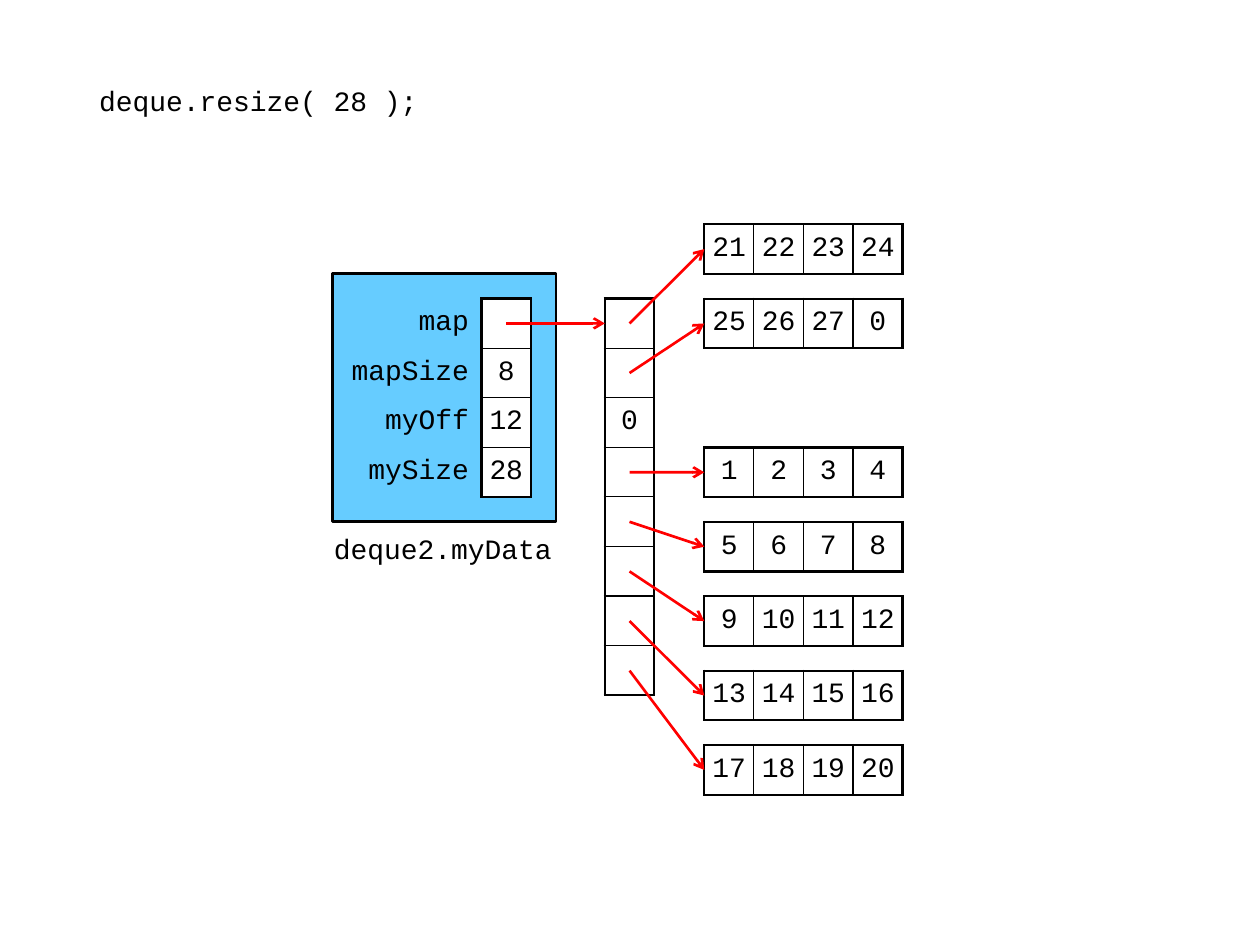
from dataclasses import dataclass

from lxml.etree import SubElement
from pptx import Presentation
from pptx.dml.color import RGBColor
from pptx.enum.shapes import MSO_CONNECTOR, MSO_SHAPE
from pptx.enum.text import MSO_ANCHOR, PP_ALIGN
from pptx.oxml.ns import qn
from pptx.util import Inches, Pt

CELL = 1 / 2.54
LANE = 1.5 * CELL
FIELDS_LEFT, MAP_LEFT, BLOCK_LEFT = 2.64, 4.8, 5.59
MAP_TOP, BLOCK_TOP = 2.37, 1.78
LABEL_WIDTH = 3 * CELL
THICK, THIN = 1.5, 0.75
BLACK, WHITE, RED, BLUE = "000000", "FFFFFF", "FF0000", "66CCFF"


@dataclass
class Block:
    slot: int
    values: list[str]


@dataclass
class Field:
    label: str
    value: str


FIELDS = [Field("map", ""), Field("mapSize", "8"), Field("myOff", "12"), Field("mySize", "28")]
MAP_SLOTS = ["", "", "0", "", "", "", "", ""]
BLOCKS = [
    Block(0, ["21", "22", "23", "24"]),
    Block(1, ["25", "26", "27", "0"]),
    Block(3, ["1", "2", "3", "4"]),
    Block(4, ["5", "6", "7", "8"]),
    Block(5, ["9", "10", "11", "12"]),
    Block(6, ["13", "14", "15", "16"]),
    Block(7, ["17", "18", "19", "20"]),
]


def color(value: str) -> RGBColor:
    return RGBColor.from_string(value)


def write(frame, text: str, align=PP_ALIGN.CENTER, size: float = 16):
    para = frame.paragraphs[0]
    para.alignment = align
    para.space_before = Pt(0)
    if text:
        span = para.add_run()
        span.text = text
        span.font.name = "Courier New"
        span.font.size = Pt(size)
        span.font.color.rgb = color(BLACK)
    return para


def set_border(cell, side: str, width: float) -> None:
    properties = cell._tc.get_or_add_tcPr()
    line = SubElement(properties, qn(f"a:ln{side}"), w=str(Pt(width)))
    if width:
        fill = SubElement(line, qn("a:solidFill"))
        SubElement(fill, qn("a:srgbClr"), val=BLACK)
    else:
        SubElement(line, qn("a:noFill"))


def add_grid(slide, left: float, top: float, rows: list[list[str]], label_width: float = 0) -> None:
    widths = [CELL] * len(rows[0])
    if label_width:
        widths[0] = label_width
    first, last = (1 if label_width else 0), len(widths) - 1
    table = slide.shapes.add_table(
        len(rows), len(widths), Inches(left), Inches(top),
        Inches(sum(widths)), Inches(CELL * len(rows)),
    ).table
    table.first_row = table.horz_banding = False
    for column, width in zip(table.columns, widths):
        column.width = Inches(width)
    for row_index, values in enumerate(rows):
        table.rows[row_index].height = Inches(CELL)
        for column_index, value in enumerate(values):
            cell = table.cell(row_index, column_index)
            is_label = column_index < first
            cell.vertical_anchor = MSO_ANCHOR.MIDDLE
            cell.margin_top = cell.margin_bottom = Inches(0.04)
            cell.margin_left = cell.margin_right = Inches(0.1 if is_label else 0.04)
            write(cell.text_frame, value, align=PP_ALIGN.RIGHT if is_label else PP_ALIGN.CENTER)
            if is_label:
                borders = {"L": 0, "R": THICK, "T": 0, "B": 0}
            else:
                borders = {
                    "L": THICK if column_index == first else THIN,
                    "R": THICK if column_index == last else THIN,
                    "T": THICK if row_index == 0 else THIN,
                    "B": THICK if row_index == len(rows) - 1 else THIN,
                }
            for side, width in borders.items():
                set_border(cell, side, width)
            if is_label:
                cell.fill.background()
            else:
                cell.fill.solid()
                cell.fill.fore_color.rgb = color(WHITE)


def add_arrow(slide, start: tuple[float, float], end: tuple[float, float]) -> None:
    arrow = slide.shapes.add_connector(
        MSO_CONNECTOR.STRAIGHT, *(Inches(length) for length in (*start, *end))
    )
    arrow.line.color.rgb = color(RED)
    arrow.line.width = Pt(THICK)
    SubElement(arrow.line._get_or_add_ln(), qn("a:tailEnd"), type="arrow")
    SubElement(arrow._element.spPr, qn("a:effectLst"))


def place(box, left: float, top: float, width: float, height: float) -> None:
    box.left, box.top = Inches(left), Inches(top)
    box.width, box.height = Inches(width), Inches(height)


def add_statement(slide) -> None:
    title = slide.shapes.title
    title._element.getparent().remove(title._element)
    body = slide.placeholders[1]
    place(body, 0.67, 0.6, 2.76, 0.39)
    body.text_frame.word_wrap = False
    body.text_frame.vertical_anchor = MSO_ANCHOR.MIDDLE
    para = write(body.text_frame, "deque.resize( 28 );")
    properties = para._p.get_or_add_pPr()
    properties.set("marL", "0")
    properties.set("indent", "0")
    SubElement(properties, qn("a:buNone"))


def add_container(slide) -> None:
    caption = slide.shapes.add_textbox(Inches(2.63), Inches(4.14), Inches(1.77), Inches(0.39))
    frame = caption.text_frame
    frame.word_wrap = True
    frame.vertical_anchor = MSO_ANCHOR.MIDDLE
    frame.margin_left = frame.margin_right = frame.margin_bottom = 0
    frame.margin_top = Inches(0.04)
    write(frame, "deque2.myData")
    box = slide.shapes.add_shape(
        MSO_SHAPE.FLOWCHART_PROCESS, Inches(FIELDS_LEFT), Inches(MAP_TOP - CELL / 2),
        Inches(4.5 * CELL), Inches(5 * CELL),
    )
    box.shadow.inherit = False
    box.fill.solid()
    box.fill.fore_color.rgb = color(BLUE)
    box.line.color.rgb = color(BLACK)
    box.line.width = Pt(THICK)


def main() -> None:
    deck = Presentation()
    deck.slide_width, deck.slide_height = Inches(10), Inches(7.5)
    slide = deck.slides.add_slide(deck.slide_layouts[1])
    add_statement(slide)
    add_container(slide)
    add_grid(slide, FIELDS_LEFT, MAP_TOP, [[field.label, field.value] for field in FIELDS], LABEL_WIDTH)
    add_grid(slide, MAP_LEFT, MAP_TOP, [[slot] for slot in MAP_SLOTS])
    middle = MAP_TOP + CELL / 2
    add_arrow(slide, (FIELDS_LEFT + LABEL_WIDTH + CELL / 2, middle), (MAP_LEFT, middle))
    for block in BLOCKS:
        top = BLOCK_TOP + block.slot * LANE
        add_grid(slide, BLOCK_LEFT, top, [block.values])
        add_arrow(
            slide,
            (MAP_LEFT + CELL / 2, middle + block.slot * CELL),
            (BLOCK_LEFT, top + CELL / 2),
        )
    deck.save("out.pptx")


if __name__ == "__main__":
    main()
